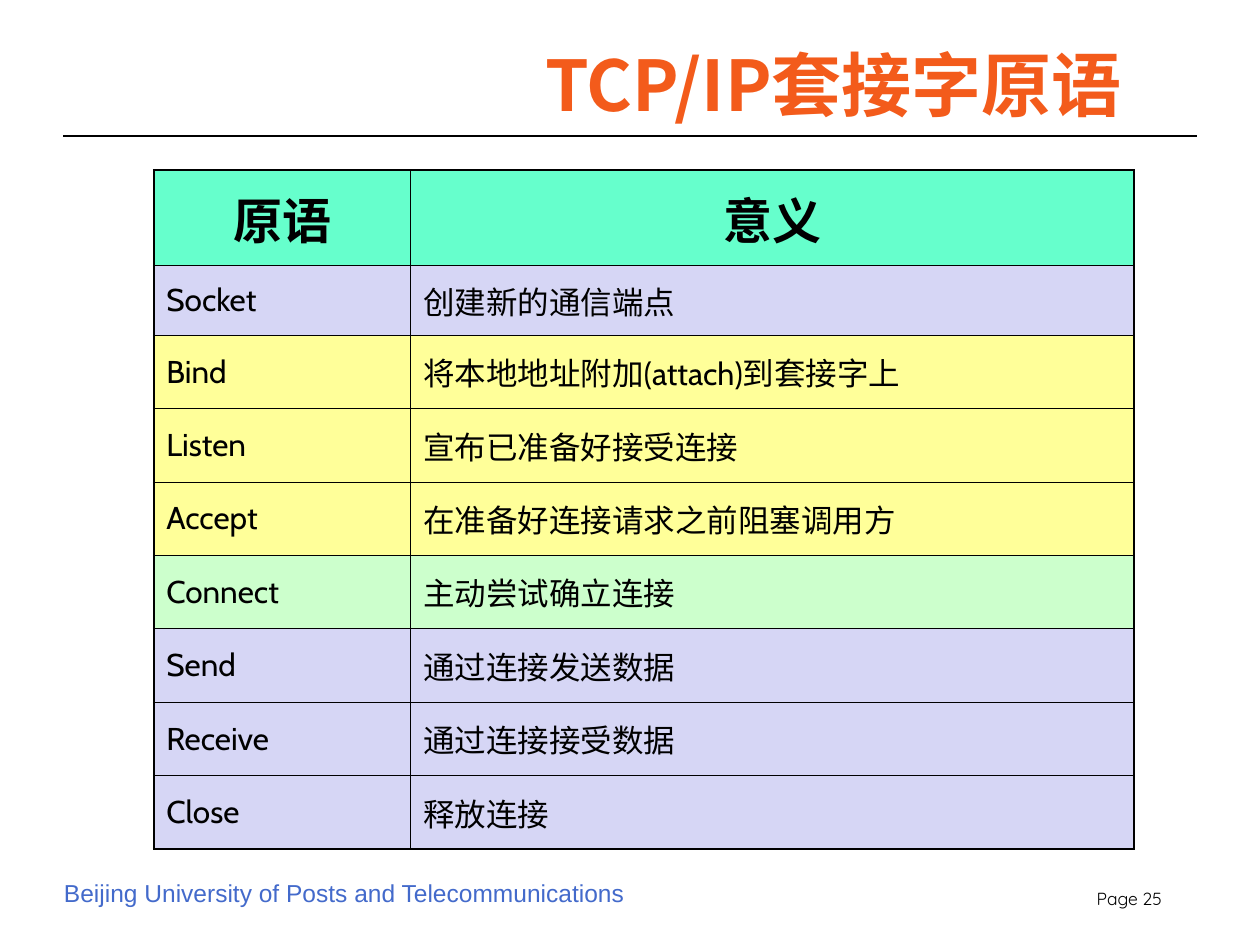
from dataclasses import dataclass

from pptx import Presentation
from pptx.dml.color import RGBColor
from pptx.enum.shapes import MSO_CONNECTOR
from pptx.enum.text import MSO_ANCHOR, MSO_AUTO_SIZE, PP_ALIGN
from pptx.oxml.ns import qn
from pptx.util import Inches, Pt
from lxml import etree

LEFT, MID, RIGHT = PP_ALIGN.LEFT, PP_ALIGN.CENTER, PP_ALIGN.RIGHT
TOP, CENTRE = MSO_ANCHOR.TOP, MSO_ANCHOR.MIDDLE
STRAIGHT = MSO_CONNECTOR.STRAIGHT
NO_FIT = MSO_AUTO_SIZE.NONE
WIDE, HIGH = 10, 7.5
HAN = "Noto Sans CJK SC"


@dataclass(frozen=True)
class Theme:
    ink: str = "000000"
    head: str = "66FFCC"
    both: str = "D6D6F5"
    server: str = "FFFF99"
    client: str = "CCFFCC"
    thin: float = 0.45
    thick: float = 1.08
    rule: float = 0.75
    title = dict(name=HAN, size=40, color="F35B1B", bold=True)
    label = dict(name="Cabin", size=28, color="000000", bold=True)
    body = dict(name="Cabin", size=18, color="000000", bold=False)
    foot = dict(name="Arial", size=14, color="436ACB", bold=False)
    page = dict(name="Quicksand", size=10, color="000000", bold=False)


THEME = Theme()
HEAD = ("原语", "意义")
ROWS = [
    ("Socket", "创建新的通信端点", THEME.both),
    ("Bind", "将本地地址附加(attach)到套接字上", THEME.server),
    ("Listen", "宣布已准备好接受连接", THEME.server),
    ("Accept", "在准备好连接请求之前阻塞调用方", THEME.server),
    ("Connect", "主动尝试确立连接", THEME.client),
    ("Send", "通过连接发送数据", THEME.both),
    ("Receive", "通过连接接受数据", THEME.both),
    ("Close", "释放连接", THEME.both),
]


def write(frame, text, style, align=LEFT):
    para = frame.paragraphs[0]
    para.alignment = align
    run = para.add_run()
    run.text = text
    form = dict(style, size=Pt(style["size"]))
    run.font.color.rgb = RGBColor.from_string(form.pop("color"))
    for key, value in form.items():
        setattr(run.font, key, value)
    etree.SubElement(run.font._element, qn("a:ea"), typeface=HAN)


def add_title(slide, text):
    title = slide.shapes.title
    box = dict(left=0, top=0.28, width=0.9 * WIDE, height=1.25)
    for key, value in box.items():
        setattr(title, key, Inches(value))
    frame = title.text_frame
    frame.auto_size = NO_FIT
    frame.vertical_anchor = TOP
    write(frame, text, THEME.title, RIGHT)


def add_rule(slide, top):
    ends = (0.05 * WIDE, top, 0.95 * WIDE, top)
    rule = slide.shapes.add_connector(STRAIGHT, *map(Inches, ends))
    rule.line.color.rgb = RGBColor.from_string(THEME.ink)
    rule.line.width = Pt(THEME.rule)
    etree.SubElement(rule._element.spPr, qn("a:effectLst"))


def add_note(slide, box, text, style, align=LEFT):
    note = slide.shapes.add_textbox(*map(Inches, box))
    note.text_frame.word_wrap = False
    write(note.text_frame, text, style, align)


def set_edges(cell, outer):
    """Draw four cell borders; sides named in outer are thick."""
    props = cell._tc.get_or_add_tcPr()
    for spot, side in enumerate("LRTB"):
        width = THEME.thick if side in outer else THEME.thin
        line = etree.Element(qn(f"a:ln{side}"), w=str(int(Pt(width))))
        fill = etree.SubElement(line, qn("a:solidFill"))
        etree.SubElement(fill, qn("a:srgbClr"), val=THEME.ink)
        props.insert(spot, line)


def add_grid(slide, left, top, cols, rows):
    box = (left, top, sum(cols), sum(rows))
    grid = slide.shapes.add_table(len(rows), len(cols), *map(Inches, box)).table
    for col, width in zip(grid.columns, cols):
        col.width = Inches(width)
    for row, height in zip(grid.rows, rows):
        row.height = Inches(height)
    last = len(rows) - 1
    for r, (*words, fill) in enumerate([(*HEAD, THEME.head), *ROWS]):
        style, align = (THEME.body, LEFT) if r else (THEME.label, MID)
        for c, text in enumerate(words):
            cell = grid.cell(r, c)
            cell.vertical_anchor = CENTRE
            cell.fill.solid()
            cell.fill.fore_color.rgb = RGBColor.from_string(fill)
            outer = "LR"[c] + {0: "T", last: "B"}.get(r, "")
            set_edges(cell, outer)
            write(cell.text_frame, text, style, align)


def main():
    deck = Presentation()
    deck.slide_width, deck.slide_height = Inches(WIDE), Inches(HIGH)
    slide = deck.slides.add_slide(deck.slide_layouts[5])
    add_rule(slide, 1.08)
    add_note(slide, (0.41, 6.92, 4.67, 0.33),
             "Beijing University of Posts and Telecommunications", THEME.foot)
    add_note(slide, (8.01, 7, 1.31, 0.29), "Page 25", THEME.page, RIGHT)
    add_title(slide, "TCP/IP套接字原语")
    first = [0.76, 0.55]
    rest = (5.39 - sum(first)) / 7
    add_grid(slide, 1.22, 1.35, [2.04, 5.74], first + [rest] * 7)
    deck.save("out.pptx")


if __name__ == "__main__":
    main()
